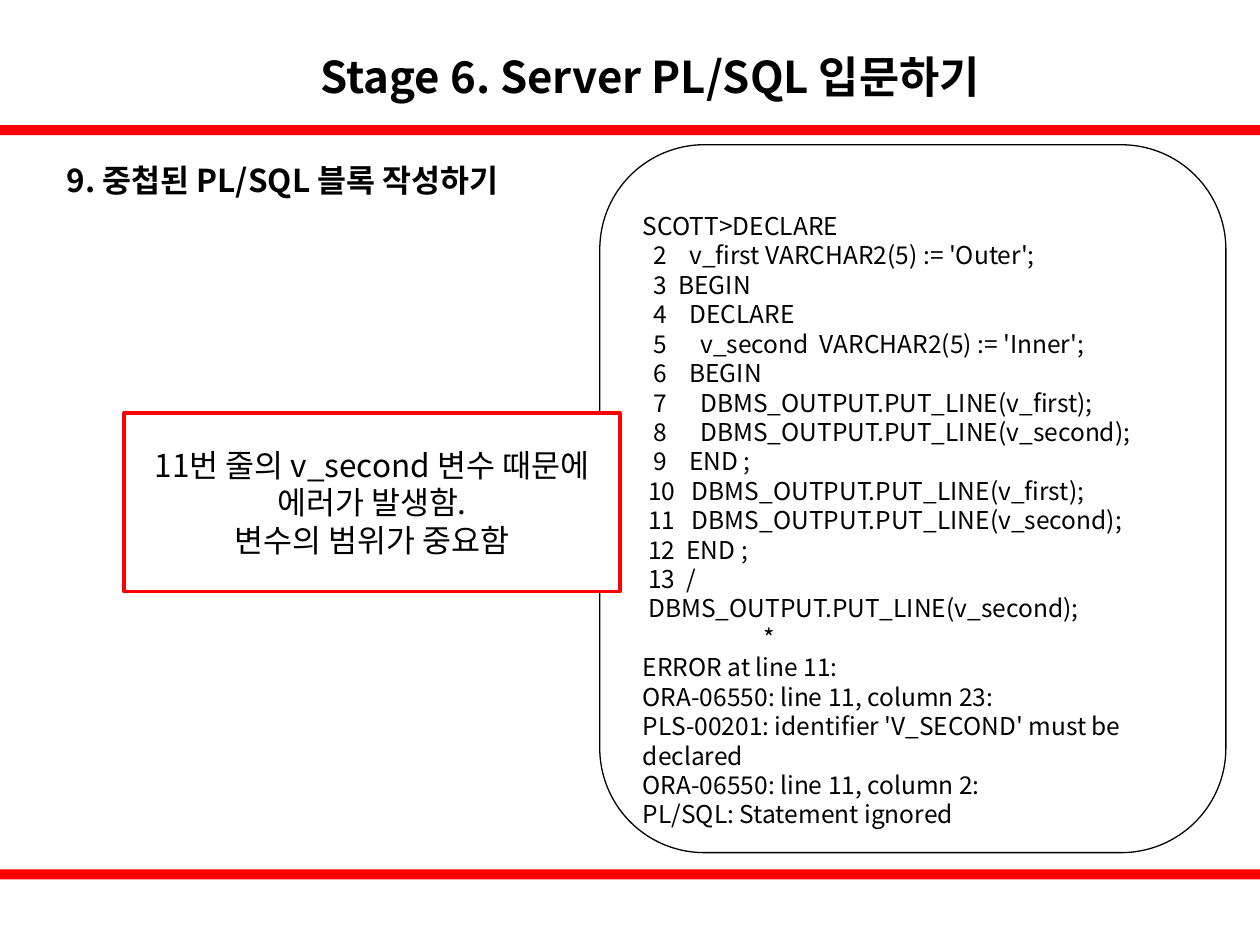
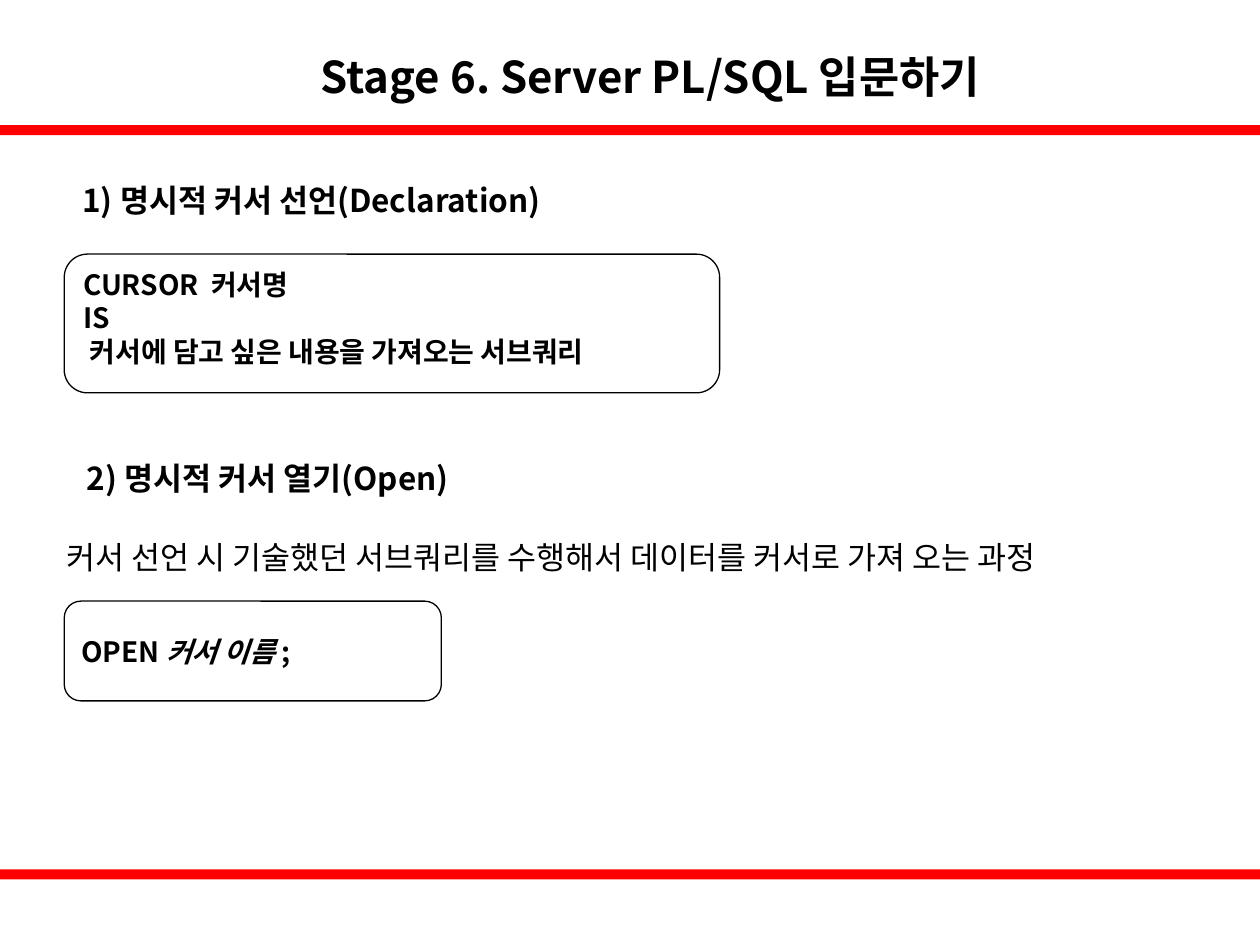
from pptx import Presentation
from pptx.dml.color import RGBColor
from pptx.enum.shapes import MSO_SHAPE
from pptx.enum.text import MSO_ANCHOR, MSO_AUTO_SIZE, PP_ALIGN
from pptx.oxml.ns import qn
from pptx.util import Pt

FONT = "Noto Sans CJK KR"
COLORS = {"ink": "000000", "paper": "FFFFFF", "accent": "FF0000"}
TITLE = "Stage 6. Server PL/SQL 입문하기"
TITLE_ONLY = 5
SLIDE_WIDTH, SLIDE_HEIGHT = 720, 540
BAND_TOPS, BAND_HEIGHT = (71.5, 496.75), 5.75
CORNER = 0.167
LINE_RATIO = 1.2

NESTED_BLOCK = """\
SCOTT>DECLARE
  2    v_first VARCHAR2(5) := 'Outer';
  3  BEGIN
  4    DECLARE
  5      v_second  VARCHAR2(5) := 'Inner';
  6    BEGIN
  7      DBMS_OUTPUT.PUT_LINE(v_first);
  8      DBMS_OUTPUT.PUT_LINE(v_second);
  9    END ;
 10   DBMS_OUTPUT.PUT_LINE(v_first);
 11   DBMS_OUTPUT.PUT_LINE(v_second);
 12  END ;
 13  /
 DBMS_OUTPUT.PUT_LINE(v_second);
                      *
ERROR at line 11:
ORA-06550: line 11, column 23:
PLS-00201: identifier 'V_SECOND' must be declared
ORA-06550: line 11, column 2:
PL/SQL: Statement ignored"""

CURSOR_DECLARATION = """\
CURSOR  커서명
IS
 커서에 담고 싶은 내용을 가져오는 서브쿼리"""


def color(name):
    return RGBColor.from_string(COLORS[name])


def write(shape, lines, size=18, bold=False, align=PP_ALIGN.LEFT,
          anchor=MSO_ANCHOR.MIDDLE, spacing=None, top_inset=3.6):
    """Fill a shape with lines; a line is a string or a list of (text, italic)."""
    frame = shape.text_frame
    frame.word_wrap = True
    frame.auto_size = MSO_AUTO_SIZE.NONE
    frame.vertical_anchor = anchor
    frame.margin_top = Pt(top_inset)
    for index, line in enumerate(lines):
        para = frame.add_paragraph() if index else frame.paragraphs[0]
        para.alignment = align
        para.line_spacing = spacing or Pt(size * LINE_RATIO)
        for text, italic in [(line, False)] if isinstance(line, str) else line:
            span = para.add_run()
            span.text = text
            font = span.font
            font.name, font.size = FONT, Pt(size)
            font.bold, font.italic = bold, italic
            font.color.rgb = color("ink")
            east_asian = font._element.makeelement(qn("a:ea"), {"typeface": FONT})
            font._element.find(qn("a:latin")).addnext(east_asian)


def add_panel(page, kind, bounds, fill="paper", line=None, line_width=0.75):
    panel = page.shapes.add_shape(kind, *map(Pt, bounds))
    panel.shadow.inherit = False
    panel.fill.solid()
    panel.fill.fore_color.rgb = color(fill)
    if line:
        panel.line.color.rgb = color(line)
        panel.line.width = Pt(line_width)
    else:
        panel.line.fill.background()
    return panel


def add_code(page, bounds, lines, **text_format):
    panel = add_panel(page, MSO_SHAPE.ROUNDED_RECTANGLE, bounds, line="ink")
    panel.adjustments[0] = CORNER
    write(panel, lines, **text_format)


def add_label(page, bounds, text, **text_format):
    write(page.shapes.add_textbox(*map(Pt, bounds)), [text], **text_format)


def add_page(deck):
    """Add a slide with the shared title and the two bands."""
    page = deck.slides.add_slide(deck.slide_layouts[TITLE_ONLY])
    for top in BAND_TOPS:
        add_panel(page, MSO_SHAPE.RECTANGLE, (0, top, SLIDE_WIDTH, BAND_HEIGHT), fill="accent")
    title = page.shapes.title
    title.left, title.top, title.width, title.height = map(Pt, (99.5, 0, 544, 71.5))
    write(title, [TITLE], size=25, bold=True, align=PP_ALIGN.CENTER, spacing=1.5)
    return page


def add_nested_block_page(deck):
    page = add_page(deck)
    add_label(page, (31, 83, 420, 39.5), "9. 중첩된 PL/SQL 블록 작성하기", bold=True)
    add_code(page, (342.75, 82.75, 357.75, 404.5), NESTED_BLOCK.split("\n"),
             size=14, anchor=MSO_ANCHOR.TOP, top_inset=20.4)
    callout = add_panel(page, MSO_SHAPE.RECTANGLE, (70.75, 236, 283.5, 102),
                        line="accent", line_width=2)
    write(callout, ["11번 줄의 v_second 변수 때문에 에러가 발생함.", "변수의 범위가 중요함"],
          align=PP_ALIGN.CENTER)


def add_cursor_page(deck):
    page = add_page(deck)
    add_label(page, (25, 88.5, 306, 51), "1) 명시적 커서 선언(Declaration)",
              bold=True, align=PP_ALIGN.CENTER)
    add_code(page, (36.75, 145.25, 374.5, 79.25), CURSOR_DECLARATION.split("\n"),
             size=16, bold=True, anchor=MSO_ANCHOR.TOP)
    add_label(page, (42.5, 247.75, 397, 51), "2) 명시적 커서 열기(Open)", bold=True)
    add_label(page, (31, 292.5, 646.5, 51),
              "커서 선언 시 기술했던 서브쿼리를 수행해서 데이터를 커서로 가져 오는 과정")
    add_code(page, (36.75, 343.5, 215.5, 57),
             [[("OPEN ", False), ("커서 이름 ", True), (";", False)]], size=16, bold=True)


def main():
    deck = Presentation()
    deck.slide_width, deck.slide_height = Pt(SLIDE_WIDTH), Pt(SLIDE_HEIGHT)
    add_nested_block_page(deck)
    add_cursor_page(deck)
    deck.save("out.pptx")


if __name__ == "__main__":
    main()
